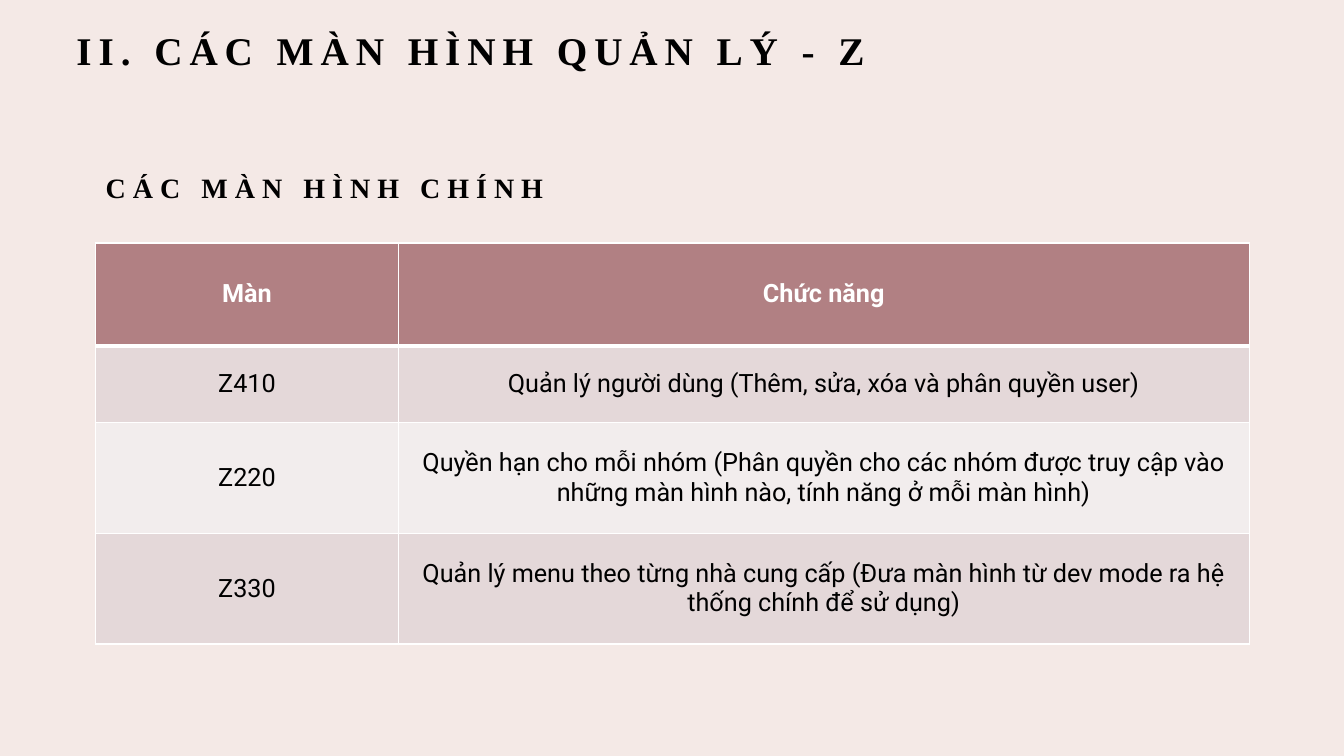
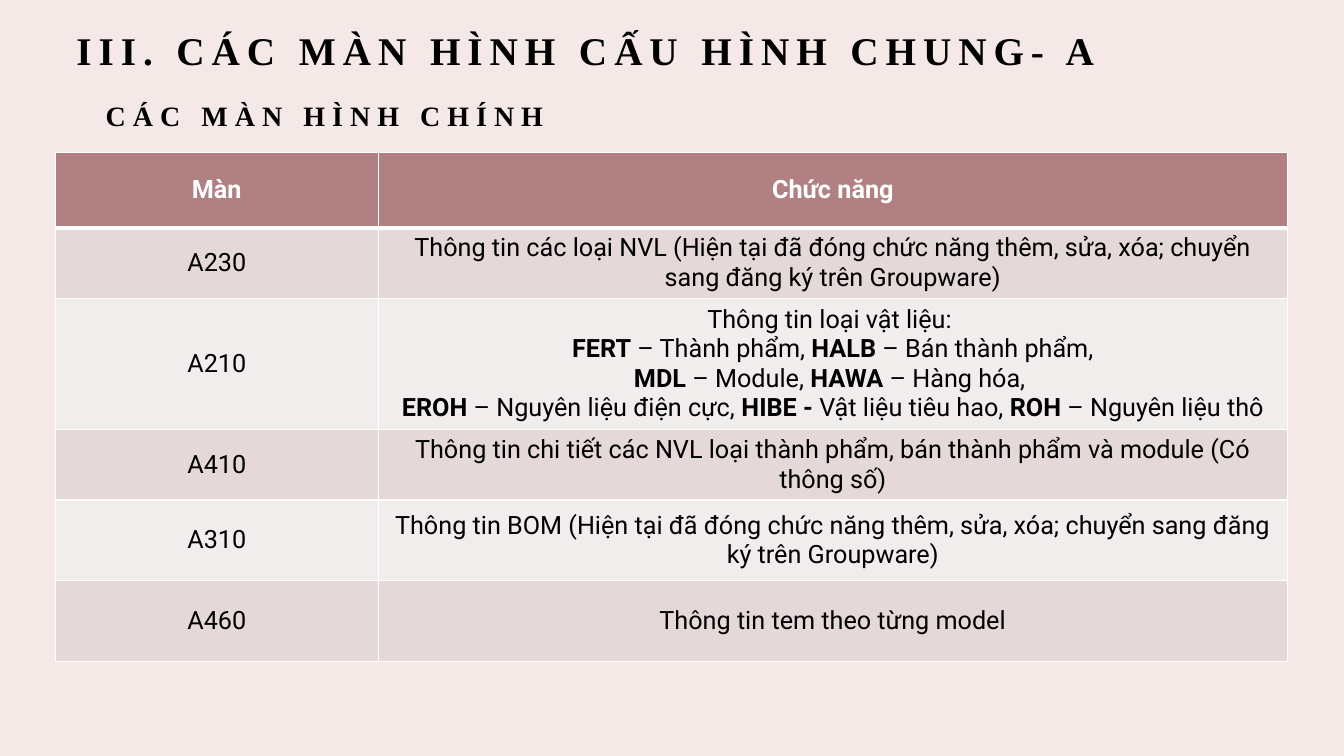
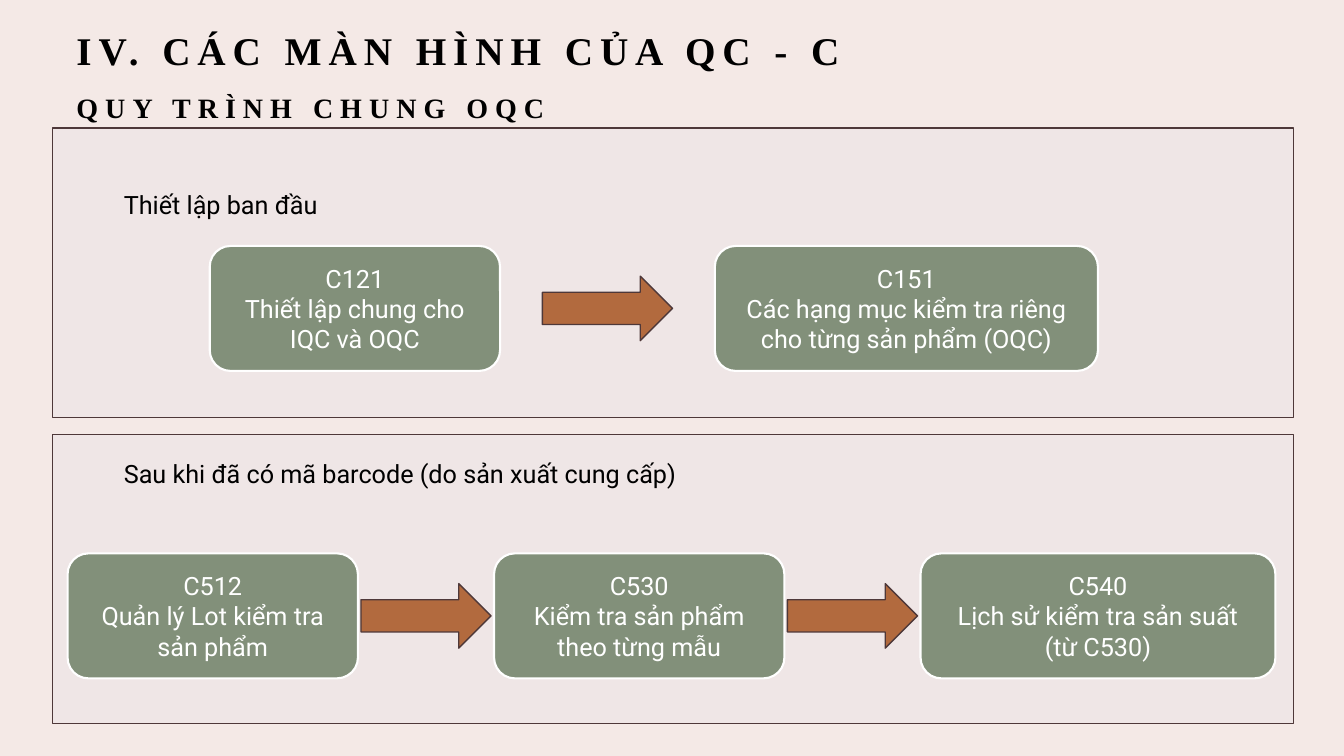
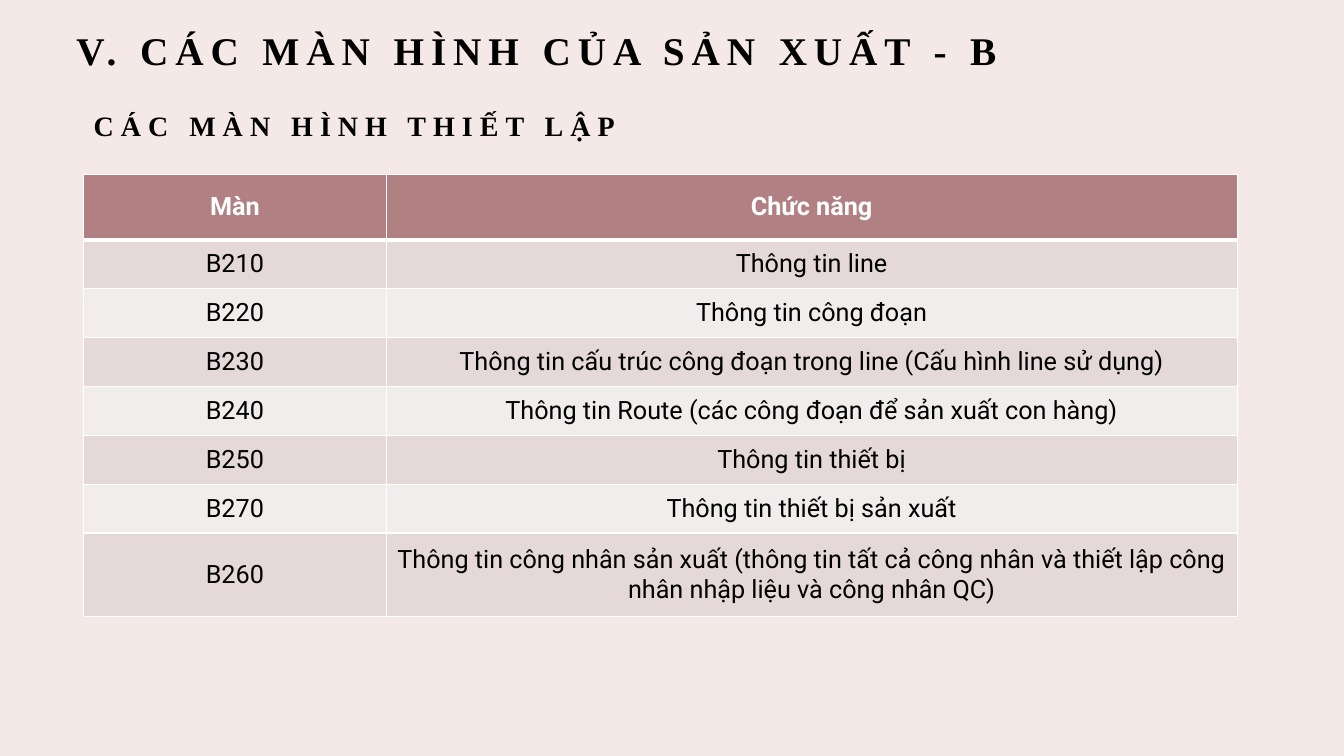
"""Build four slides on the screens of a factory management system."""
import pptx
import pptx.dml.color
import pptx.enum.shapes
import pptx.enum.text
import pptx.oxml.ns
import pptx.util
from lxml import etree

Inches = pptx.util.Inches
Pt = pptx.util.Pt
SHAPE = pptx.enum.shapes.MSO_SHAPE
MIDDLE = pptx.enum.text.MSO_ANCHOR.MIDDLE
TOP = pptx.enum.text.MSO_ANCHOR.TOP
LEFT = pptx.enum.text.PP_ALIGN.LEFT
CENTER = pptx.enum.text.PP_ALIGN.CENTER

BACK, PANEL, EDGE = "F4E9E6", "EFE6E6", "4E3839"
HEAD, BANDS = "B18083", ("F2EDED", "E4D8D9")
STEP, ARROW = "82907A", "B26A3E"
BLACK, WHITE = "000000", "FFFFFF"
SERIF, SANS = "Times New Roman", "Roboto"

HEADS = ("Màn", "Chức năng")
MAIN = "CÁC MÀN HÌNH CHÍNH"

ADMIN = {
    "title": "II. CÁC MÀN HÌNH QUẢN LÝ - Z",
    "sub": (MAIN, 0.95, 1.47),
    "at": (0.95, 2.41),
    "cols": (3, 8.44),
    "heights": (1.02, 0.76, 1.1, 1.1),
    "rows": [
        ("Z410", "Quản lý người dùng (Thêm, sửa, xóa và phân quyền user)"),
        ("Z220", "Quyền hạn cho mỗi nhóm (Phân quyền cho các nhóm được truy cập vào "
                 "những màn hình nào, tính năng ở mỗi màn hình)"),
        ("Z330", "Quản lý menu theo từng nhà cung cấp (Đưa màn hình từ dev mode ra hệ "
                 "thống chính để sử dụng)"),
    ],
}

CONFIG = {
    "title": "III. CÁC MÀN HÌNH CẤU HÌNH CHUNG- A",
    "sub": (MAIN, 0.95, 0.76),
    "at": (0.55, 1.51),
    "cols": (3.2, 9.02),
    "heights": (0.75, 0.68, 1.27, 0.68, 0.8, 0.8),
    "rows": [
        ("A230", "Thông tin các loại NVL (Hiện tại đã đóng chức năng thêm, sửa, xóa; "
                 "chuyển sang đăng ký trên Groupware)"),
        ("A210", "Thông tin loại vật liệu: \n"
                 "**FERT** – Thành phẩm, **HALB** – Bán thành phẩm,\n"
                 "**MDL** – Module, **HAWA** – Hàng hóa, \n"
                 "**EROH** – Nguyên liệu điện cực, **HIBE - **Vật liệu tiêu hao, "
                 "**ROH** – Nguyên liệu thô"),
        ("A410", "Thông tin chi tiết các NVL loại thành phẩm, bán thành phẩm và module "
                 "(Có thông số)"),
        ("A310", "Thông tin BOM (Hiện tại đã đóng chức năng thêm, sửa, xóa; chuyển "
                 "sang đăng ký trên Groupware)"),
        ("A460", "Thông tin tem theo từng model"),
    ],
}

CHECK = {
    "title": "IV. CÁC MÀN HÌNH CỦA QC - C",
    "sub": ("QUY TRÌNH CHUNG OQC", 0.66, 0.68),
    "flows": [
        {"label": "Thiết lập ban đầu", "panel": 1.27, "text": 1.83,
         "left": 2.08, "top": 2.44, "gap": 2.13,
         "steps": [("C121\nThiết lập chung cho IQC và OQC", 2.88),
                   ("C151\nCác hạng mục kiểm tra riêng cho từng sản phẩm (OQC)", 3.8)]},
        {"label": "Sau khi đã có mã barcode (do sản xuất cung cấp)",
         "panel": 4.31, "text": 4.5, "left": 0.67, "top": 5.49, "gap": 1.35,
         "steps": [("C512\nQuản lý Lot kiểm tra sản phẩm", 2.88),
                   ("C530\nKiểm tra sản phẩm theo từng mẫu", 2.88),
                   ("C540\nLịch sử kiểm tra sản suất\n(từ C530)", 3.52)]},
    ],
}

MAKE = {
    "title": "V. CÁC MÀN HÌNH CỦA SẢN XUẤT - B",
    "sub": ("CÁC MÀN HÌNH THIẾT LẬP", 0.83, 0.85),
    "at": (0.83, 1.73),
    "cols": (3, 8.44),
    "heights": (0.65,) + (0.485,) * 6 + (0.83,),
    "rows": [
        ("B210", "Thông tin line"),
        ("B220", "Thông tin công đoạn"),
        ("B230", "Thông tin cấu trúc công đoạn trong line (Cấu hình line sử dụng)"),
        ("B240", "Thông tin Route (các công đoạn để sản xuất con hàng)"),
        ("B250", "Thông tin thiết bị"),
        ("B270", "Thông tin thiết bị sản xuất"),
        ("B260", "Thông tin công nhân sản xuất (thông tin tất cả công nhân và thiết lập "
                 "công nhân nhập liệu và công nhân QC)"),
    ],
}


def paint(color, code):
    """Set a colour from a hex string."""
    color.rgb = pptx.dml.color.RGBColor.from_string(code)


def fill(part, code):
    """Give a shape or cell a solid fill."""
    part.fill.solid()
    paint(part.fill.fore_color, code)


def write(frame, text, code, align=LEFT, size=18, face=SANS, bold=False):
    """Write lines as paragraphs, with ** around bold words."""
    for i, line in enumerate(text.split("\n")):
        para = frame.paragraphs[0] if i == 0 else frame.add_paragraph()
        para.alignment = align
        for j, piece in enumerate(line.split("**")):
            if piece:
                run = para.add_run()
                run.text = piece
                run.font.size = Pt(size)
                run.font.name = face
                run.font.bold = bold or j % 2 == 1
                paint(run.font.color, code)


def label(slide, box, text, anchor=TOP, **style):
    """Add a wrapping text box."""
    frame = slide.shapes.add_textbox(*map(Inches, box)).text_frame
    frame.word_wrap = True
    frame.vertical_anchor = anchor
    write(frame, text, BLACK, **style)
    return frame


def heading(slide, box, text, size):
    """Add a spaced bold serif heading."""
    frame = label(slide, box, text, MIDDLE, size=size, face=SERIF, bold=True)
    para = frame.paragraphs[0]
    para.line_spacing = 1.2
    para.runs[0].font._element.set("spc", "500")


def start(deck, data):
    """Add a slide with its title and subtitle."""
    slide = deck.slides.add_slide(deck.slide_layouts[6])
    heading(slide, (0.66, 0.07, 12.31, 0.75), data["title"], 28)
    text, left, top = data["sub"]
    heading(slide, (left, top, 12.31, 0.71), text, 20)
    return slide


def border(cell, row):
    """Draw white cell borders, thick below the header."""
    props = cell._tc.get_or_add_tcPr()
    thick = {0: "lnB", 1: "lnT"}.get(row)
    for side in ("lnL", "lnR", "lnT", "lnB"):
        width = Pt(3 if side == thick else 1)
        line = etree.SubElement(props, pptx.oxml.ns.qn("a:" + side), w=str(width))
        solid = etree.SubElement(line, pptx.oxml.ns.qn("a:solidFill"))
        etree.SubElement(solid, pptx.oxml.ns.qn("a:srgbClr"), val=WHITE)


def listing(deck, data):
    """Add a slide with a table of screens."""
    slide = start(deck, data)
    rows = [HEADS] + data["rows"]
    cols, tall = data["cols"], data["heights"]
    box = (*data["at"], sum(cols), sum(tall))
    table = slide.shapes.add_table(len(rows), len(cols), *map(Inches, box)).table
    table.horz_banding = False
    for col, width in zip(table.columns, cols):
        col.width = Inches(width)
    for i, texts in enumerate(rows):
        table.rows[i].height = Inches(tall[i])
        for j, text in enumerate(texts):
            cell = table.cell(i, j)
            border(cell, i)
            fill(cell, BANDS[i % 2] if i else HEAD)
            cell.vertical_anchor = MIDDLE
            write(cell.text_frame, text, BLACK if i else WHITE, CENTER, bold=i == 0)


def block(slide, kind, box, code, edge, width=1):
    """Add a filled and outlined preset shape."""
    shape = slide.shapes.add_shape(kind, *map(Inches, box))
    shape.shadow.inherit = False
    fill(shape, code)
    paint(shape.line.color, edge)
    shape.line.width = Pt(width)
    return shape


def flow(slide, data):
    """Add a panel with steps joined by block arrows."""
    high, long, thick = 1.24, 1.29, 0.64
    block(slide, SHAPE.RECTANGLE, (0.52, data["panel"], 12.31, 2.87), PANEL, EDGE)
    label(slide, (1.13, data["text"], 8.19, 0.4), data["label"])
    left, top, gap = data["left"], data["top"], data["gap"]
    for i, (text, wide) in enumerate(data["steps"]):
        if i:
            box = (left - (gap + long) / 2, top + (high - thick) / 2, long, thick)
            block(slide, SHAPE.RIGHT_ARROW, box, ARROW, EDGE)
        step = block(slide, SHAPE.ROUNDED_RECTANGLE, (left, top, wide, high),
                     STEP, WHITE, 1.5)
        step.text_frame.word_wrap = True
        step.text_frame.vertical_anchor = MIDDLE
        write(step.text_frame, text, WHITE, CENTER)
        left += wide + gap


def main():
    """Build and save the deck."""
    deck = pptx.Presentation()
    deck.slide_width, deck.slide_height = Inches(13.33), Inches(7.5)
    fill(deck.slide_master.background, BACK)
    listing(deck, ADMIN)
    listing(deck, CONFIG)
    slide = start(deck, CHECK)
    for data in CHECK["flows"]:
        flow(slide, data)
    listing(deck, MAKE)
    deck.save("out.pptx")


if __name__ == "__main__":
    main()
